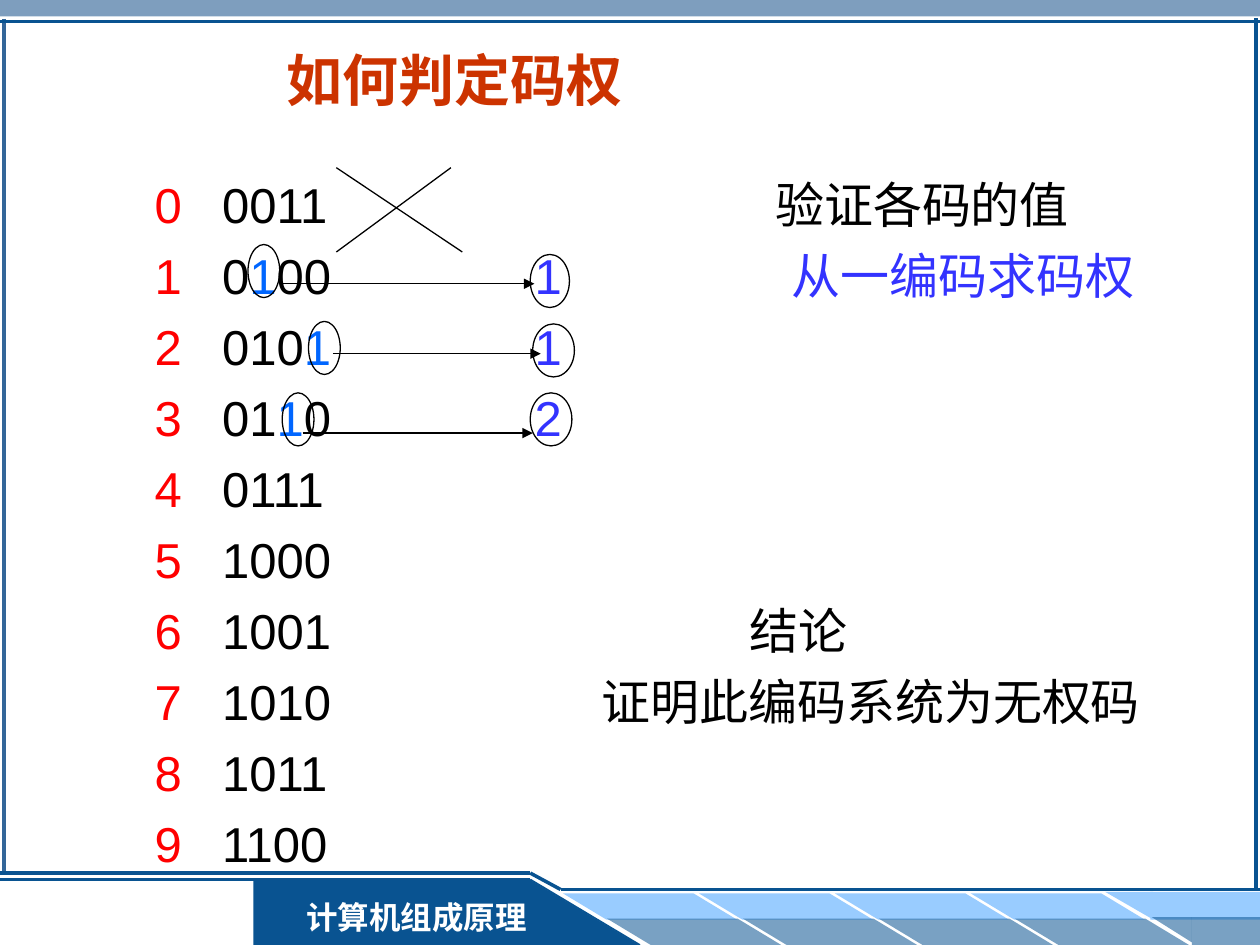
from lxml import etree
from pptx import Presentation
from pptx.dml.color import RGBColor
from pptx.enum.shapes import MSO_CONNECTOR, MSO_SHAPE
from pptx.enum.text import MSO_ANCHOR, PP_ALIGN
from pptx.oxml.ns import qn
from pptx.util import Cm, Pt

RECT, OVAL = MSO_SHAPE.RECTANGLE, MSO_SHAPE.OVAL
TRIANGLE, SLANT = MSO_SHAPE.RIGHT_TRIANGLE, MSO_SHAPE.PARALLELOGRAM
STRAIGHT = MSO_CONNECTOR.STRAIGHT
CENTER, LEFT, MIDDLE, TOP = PP_ALIGN.CENTER, PP_ALIGN.LEFT, MSO_ANCHOR.MIDDLE, MSO_ANCHOR.TOP

BLACK = RGBColor(0x00, 0x00, 0x00)
WHITE = RGBColor(0xFF, 0xFF, 0xFF)
RED = RGBColor(0xFF, 0x00, 0x00)
BRICK = RGBColor(0xCC, 0x33, 0x00)
BLUE = RGBColor(0x33, 0x33, 0xFF)
BRIGHT = RGBColor(0x00, 0x66, 0xFF)
NAVY = RGBColor(0x09, 0x53, 0x91)
STEEL = RGBColor(0x33, 0x66, 0x99)
SKY = RGBColor(0x99, 0xCC, 0xFF)

CODE_TAB, WEIGHT_TAB = 1.36, 7.66
# code, index of the marked bit, weight, note, note tab, note colour
ROWS = [
    ("0011", None, "", "验证各码的值", 12.51, BLACK),
    ("0100", 1, "1", "从一编码求码权", 12.84, BLUE),
    ("0101", 3, "1", "", 0, BLUE),
    ("0110", 2, "2", "", 0, BLUE),
    ("0111", None, "", "", 0, BLACK),
    ("1000", None, "", "", 0, BLACK),
    ("1001", None, "", "结论", 12, BLACK),
    ("1010", None, "", "证明此编码系统为无权码", 9.01, BLACK),
    ("1011", None, "", "", 0, BLACK),
    ("1100", None, "", "", 0, BLACK),
]
RINGS = [(5, 4.93, 0.64), (10.69, 5.13, 0.79), (6.22, 6.48, 0.64),
         (10.74, 6.53, 0.84), (10.69, 7.92, 0.84), (5.69, 7.92, 0.64)]
ARROWS = [(5.69, 10.77, 5.72), (6.71, 10.9, 7.13), (6.1, 10.74, 8.73)]


def add_text(p, text, size=28, color=BLACK, font="Arial", bold=False):
    """Append a formatted run to a paragraph."""
    r = p.add_run()
    r.text = text
    r.font.size, r.font.bold, r.font.name = Pt(size), bold, font
    r.font.color.rgb = color
    etree.SubElement(r.font._element, qn("a:ea"), typeface="Arial")


def add_block(s, kind, x, y, w, h, fill=None, alpha=None, flip=""):
    """Add a filled block, or a thin black outline when there is no fill."""
    sp = s.shapes.add_shape(kind, Cm(x), Cm(y), Cm(w), Cm(h))
    sp.shadow.inherit = False
    if fill is None:
        sp.fill.background()
        sp.line.color.rgb, sp.line.width = BLACK, Pt(0.75)
    else:
        sp.fill.solid()
        sp.fill.fore_color.rgb = fill
        sp.line.fill.background()
    if alpha:
        clr = sp._element.spPr.find(".//" + qn("a:srgbClr"))
        etree.SubElement(clr, qn("a:alpha"), val=str(alpha * 1000))
    for axis in flip:
        sp._element.spPr.find(qn("a:xfrm")).set("flip" + axis, "1")
    return sp


def add_line(s, x1, y1, x2, y2, color=BLACK, width=0.75, arrow=False):
    """Add a straight line, with an arrowhead at its end if wanted."""
    cn = s.shapes.add_connector(STRAIGHT, Cm(x1), Cm(y1), Cm(x2), Cm(y2))
    cn.line.color.rgb, cn.line.width = color, Pt(width)
    if arrow:
        etree.SubElement(cn.line._get_or_add_ln(), qn("a:tailEnd"), type="triangle")
    etree.SubElement(cn._element.spPr, qn("a:effectLst"))


def add_frame(s):
    """Draw the border lines and the footer band."""
    add_block(s, RECT, 0, 0, 25.4, 0.33, STEEL, alpha=63)
    add_line(s, 0.08, 0.38, 0.08, 17.6, STEEL, 2)
    add_block(s, RECT, 5.11, 17.73, 5.59, 1.32, NAVY)
    add_line(s, 12.9, 19.05, 10.69, 17.73, NAVY, 1)
    add_line(s, 10.69, 17.73, 0, 17.73, NAVY, 1.5)
    for i in range(4):
        for x, y, fill, alpha in ((11.35, 18.01, SKY, None), (12.24, 18.52, NAVY, 54)):
            sp = add_block(s, SLANT, x + 2.74 * i, y, 3.51, 0.53, fill, alpha, "H")
            sp.adjustments[0] = 1.657
    add_block(s, RECT, 23.19, 17.98, 2.21, 0.56, SKY)
    add_block(s, TRIANGLE, 22.28, 17.98, 0.97, 0.56, SKY, flip="HV")
    add_block(s, RECT, 24.03, 18.49, 1.37, 0.56, NAVY, alpha=54)
    add_block(s, TRIANGLE, 23.22, 18.49, 0.81, 0.51, NAVY, alpha=54, flip="HV")
    label = add_block(s, RECT, 5.79, 17.98, 5.21, 1.02, NAVY)
    p = label.text_frame.paragraphs[0]
    p.alignment = CENTER
    add_text(p, "计算机组成原理", size=18, color=WHITE, font="Times New Roman", bold=True)
    add_block(s, TRIANGLE, 10.67, 17.73, 2.21, 1.32, NAVY)
    for ends in ((11.3, 17.93, 25.4, 17.93), (0, 17.6, 10.69, 17.6),
                 (10.69, 17.6, 11.3, 17.93), (0, 0.43, 25.4, 0.43),
                 (25.32, 0.36, 25.32, 17.96)):
        add_line(s, *ends, color=NAVY, width=2)


def set_title(s, text):
    """Place and format the title placeholder."""
    sp = s.shapes.title
    sp.left, sp.top, sp.width, sp.height = Cm(1.72), Cm(0.73), Cm(14.88), Cm(1.75)
    sp.text_frame.vertical_anchor = MIDDLE
    p = sp.text_frame.paragraphs[0]
    p.alignment = CENTER
    add_text(p, text, size=32, color=BRICK, bold=True)


def add_row(p, digit, code, mark, weight, note, note_tab, color):
    """Write one digit with its code, weight and note on tab stops."""
    stops = [CODE_TAB] + [WEIGHT_TAB] * bool(weight) + [note_tab] * bool(note)
    tabs = etree.SubElement(p._p.get_or_add_pPr(), qn("a:tabLst"))
    for stop in stops:
        etree.SubElement(tabs, qn("a:tab"), pos=str(Cm(stop)), algn="l")
    p.alignment = LEFT
    add_text(p, str(digit), color=RED)
    if mark is None:
        add_text(p, "\t" + code)
    else:
        add_text(p, "\t" + code[:mark])
        add_text(p, code[mark], color=BRIGHT)
        if code[mark + 1:]:
            add_text(p, code[mark + 1:])
    for text in filter(None, (weight, note)):
        add_text(p, "\t" + text, color=color)


def add_codes(s):
    """Add the list of digits and codes."""
    sp = s.shapes.add_textbox(Cm(1.9), Cm(3.38), Cm(21.59), Cm(14.35))
    tf = sp.text_frame
    tf.word_wrap, tf.vertical_anchor = True, TOP
    tf.margin_left, tf.margin_top = Cm(1.22), Cm(0.13)
    for digit, row in enumerate(ROWS):
        p = tf.add_paragraph() if digit else tf.paragraphs[0]
        if digit:
            p.space_before = Pt(7)
        add_row(p, digit, *row)


def main():
    """Build the slide and save it."""
    prs = Presentation()
    prs.slide_width, prs.slide_height = Cm(25.4), Cm(19.05)
    s = prs.slides.add_slide(prs.slide_layouts[5])
    add_frame(s)
    set_title(s, "如何判定码权")
    add_codes(s)
    add_line(s, 9.09, 3.38, 6.78, 5.08)
    add_line(s, 6.78, 3.38, 9.32, 5.08)
    for x, y, width in RINGS:
        add_block(s, OVAL, x, y, width, 1.07)
    for start, end, y in ARROWS:
        add_line(s, start, y, end, y, arrow=True)
    prs.save("out.pptx")


if __name__ == "__main__":
    main()
